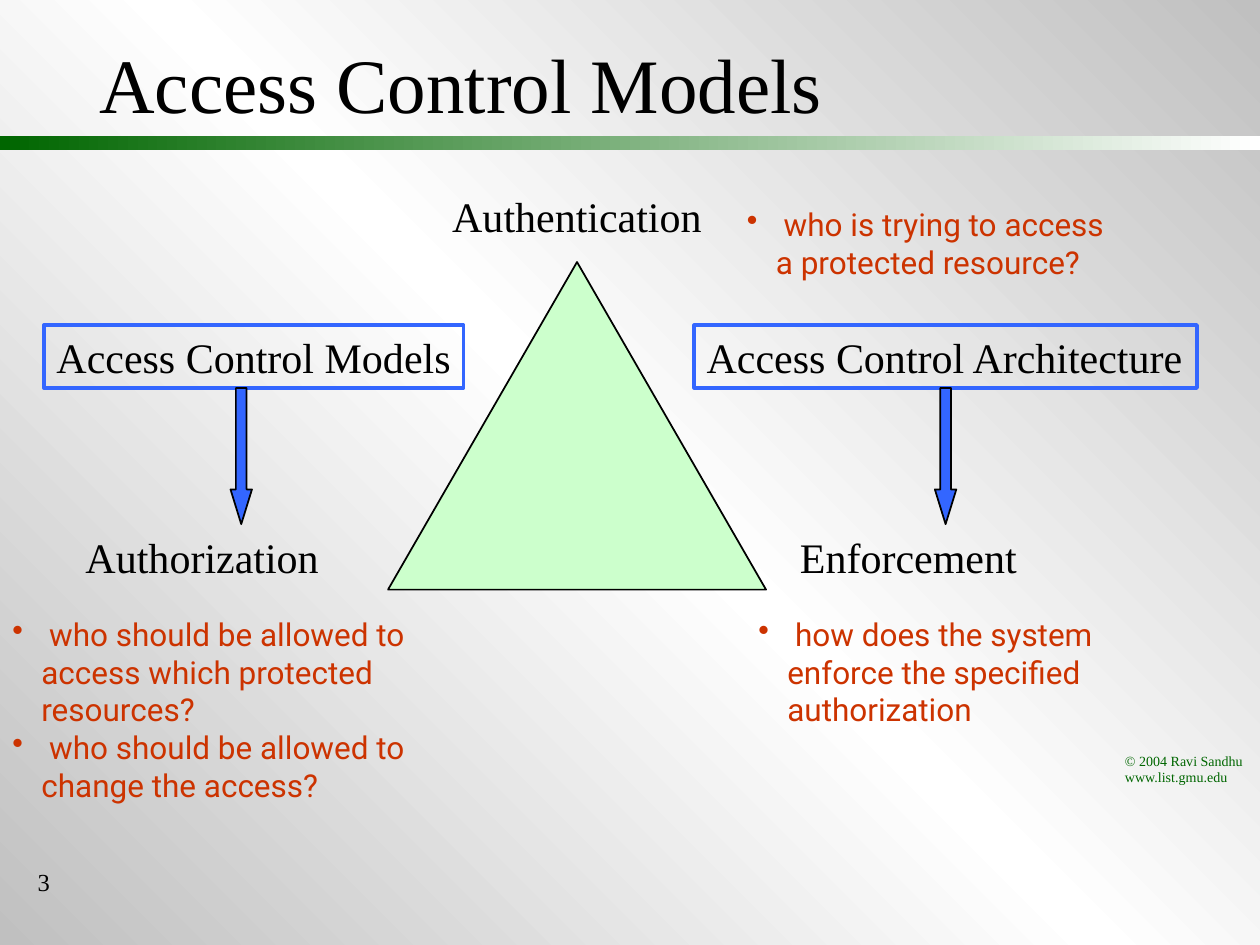
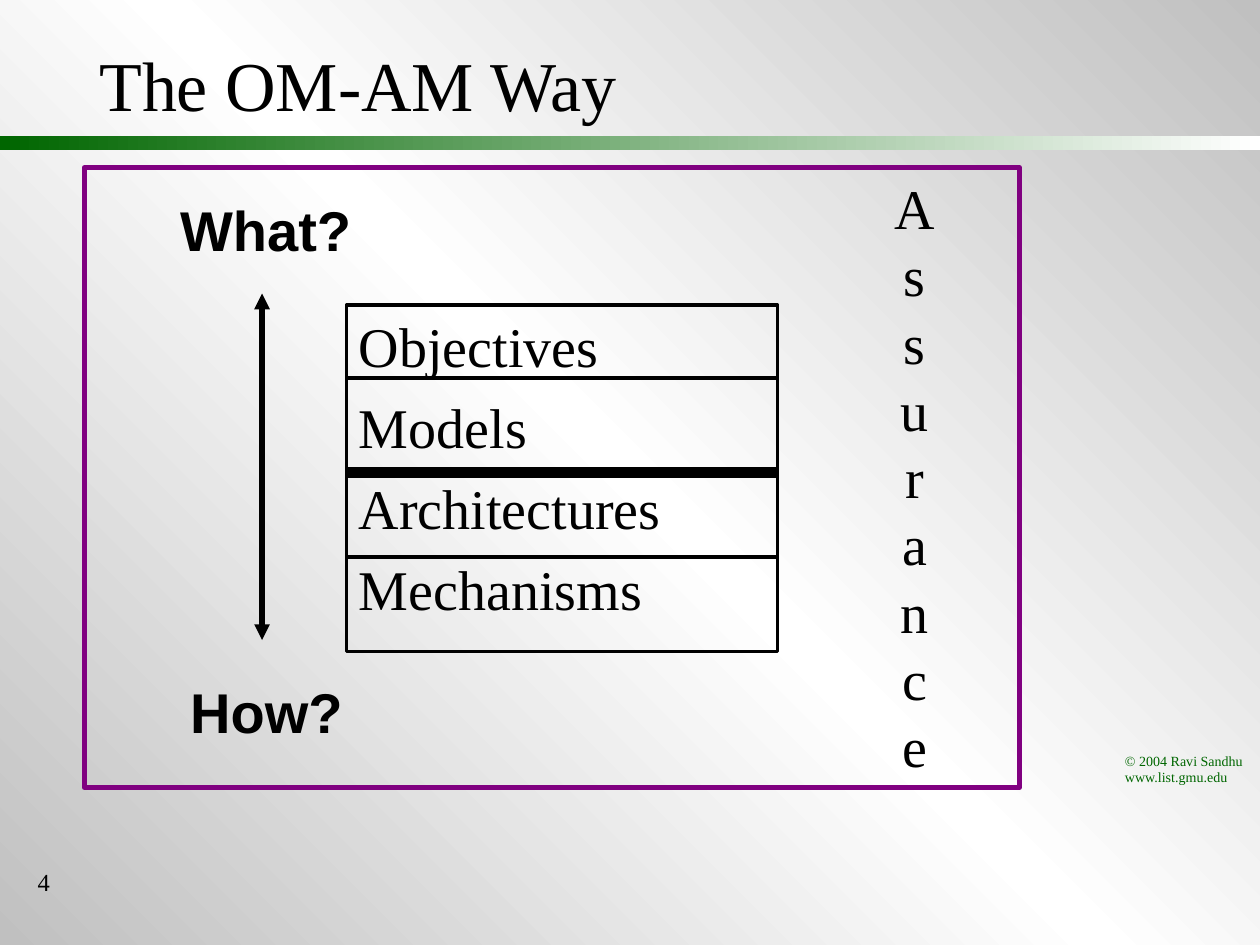
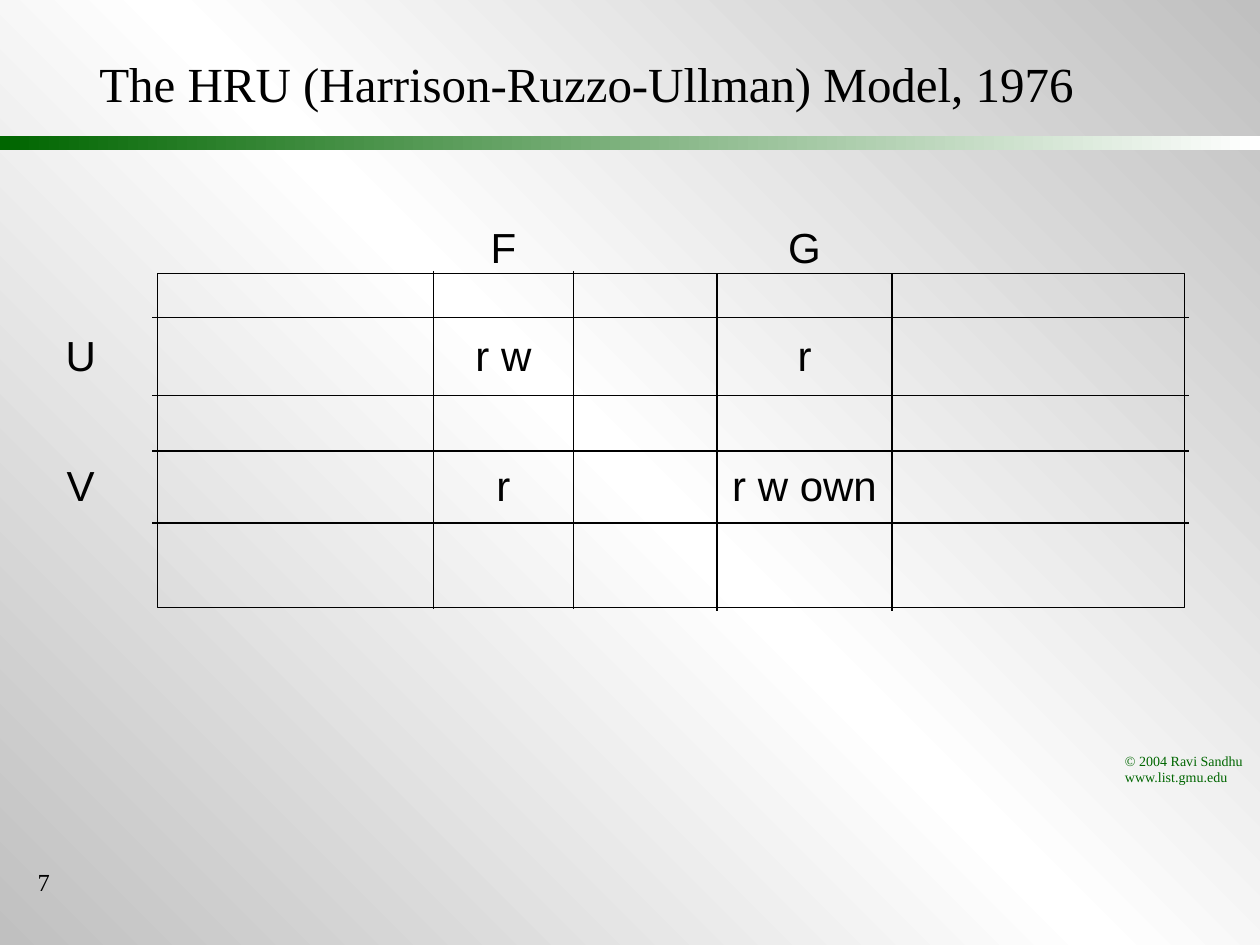
from lxml import etree
from pptx import Presentation
from pptx.dml.color import RGBColor
from pptx.enum.shapes import MSO_CONNECTOR, MSO_SHAPE
from pptx.enum.text import MSO_ANCHOR, MSO_AUTO_SIZE, PP_ALIGN
from pptx.oxml import parse_xml
from pptx.oxml.ns import nsdecls, qn
from pptx.util import Inches, Pt

# Shared look
WIDTH, HEIGHT = 10, 7.5
COLORS = {
    "black": "000000", "white": "FFFFFF", "silver": "C0C0C0", "green": "006600",
    "mint": "CCFFCC", "blue": "3366FF", "red": "CC3300", "purple": "800080",
}
SERIF, SANS, NOTE = "Times New Roman", "Arial", "Roboto"
FOOTER = ["© 2004 Ravi Sandhu", "www.list.gmu.edu"]

# Slide 1: corners of the triangle, questions and framed topics
CORNERS = [
    ("Authentication", (3.49, 1.46, 2.18, 0.5)),
    ("Authorization", (0.58, 4.17, 2.05, 0.5)),
    ("Enforcement", (6.25, 4.17, 1.92, 0.5)),
]
QUESTIONS = [
    ([" who is trying to access a protected resource?"], (5.83, 1.58, 3.18, 0.7)),
    ([" who should be allowed to access which protected resources?",
      " who should be allowed to change the access?"], (0, 4.83, 4.08, 1.6)),
    ([" how does the system enforce the specified authorization"],
     (5.92, 4.83, 3.75, 1)),
]
# Topic, left, width, left of its arrow
TOPICS = [
    ("Access Control Models", 0.35, 3.33, 1.83),
    ("Access Control Architecture", 5.51, 3.99, 7.42),
]
TOPIC_TOP, TOPIC_HEIGHT = 2.58, 0.5
ARROW_WIDTH, ARROW_HEIGHT = 0.17, 1.08

# Slide 2: layers between what and how
LAYERS = ["Objectives", "Models", "Architectures", "Mechanisms"]
STACK = (2.75, 2.42, 3.42, 2.75)
DIVIDERS = [(3, 2), (3.75, 6), (4.42, 2)]  # height on the slide, line width
ENDS = [("What?", (1.33, 1.5, 1.56, 0.64)), ("How?", (1.41, 5.33, 1.41, 0.64))]

# Slide 3: access matrix, with the edges of its columns and rows
COLUMN_EDGES = [1.25, 3.44, 4.55, 5.69, 7.08, 9.4]
ROW_EDGES = [2.17, 2.52, 3.14, 3.58, 4.15, 4.82]
COLUMN_LINE_TOPS = [2.15, 2.15, 2.17, 2.17]
COLUMN_LINE_LENGTH = 2.68
SUBJECTS = {"U": 1, "V": 3}
OBJECTS = {"F": 1, "G": 3}
RIGHTS = {("U", "F"): "r w", ("U", "G"): "r", ("V", "F"): "r", ("V", "G"): "r w own"}


def color(name):
    return RGBColor.from_string(COLORS[name])


def gradient(stops, angle):
    marks = "".join(
        f'<a:gs pos="{share * 1000}"><a:srgbClr val="{COLORS[name]}"/></a:gs>'
        for share, name in stops)
    return parse_xml(
        f'<a:gradFill {nsdecls("a")} rotWithShape="1"><a:gsLst>{marks}</a:gsLst>'
        f'<a:lin ang="{angle * 60000}" scaled="0"/></a:gradFill>')


def set_gradient(fill, parent, stops, angle):
    fill.gradient()
    blank_fill = parent.find(qn("a:gradFill"))
    parent.replace(blank_fill, gradient(stops, angle))


def add_bullet(para, ink):
    props = para._p.get_or_add_pPr()
    props.set("marL", str(Inches(0.23)))
    props.set("indent", str(-Inches(0.23)))
    bullet_color = etree.SubElement(props, qn("a:buClr"))
    etree.SubElement(bullet_color, qn("a:srgbClr")).set("val", COLORS[ink])
    etree.SubElement(props, qn("a:buChar")).set("char", "•")


def write(shape, text, size=24, font=SERIF, ink="black", bold=False, align=PP_ALIGN.LEFT,
          anchor=MSO_ANCHOR.TOP, wrap=False, bullet=False, gap=0, spacing=None,
          insets=(0.1, 0.05)):
    frame = shape.text_frame
    frame.word_wrap = wrap
    frame.auto_size = MSO_AUTO_SIZE.NONE if wrap else MSO_AUTO_SIZE.SHAPE_TO_FIT_TEXT
    frame.vertical_anchor = anchor
    frame.margin_left = frame.margin_right = Inches(insets[0])
    frame.margin_top = frame.margin_bottom = Inches(insets[1])
    for index, line in enumerate([text] if isinstance(text, str) else text):
        para = frame.add_paragraph() if index else frame.paragraphs[0]
        if bullet:
            add_bullet(para, ink)
        para.alignment = align
        if gap and index:
            para.space_before = Pt(gap)
        if spacing:
            para.line_spacing = spacing
        span = para.add_run()
        span.text = line
        span.font.size, span.font.name, span.font.bold = Pt(size), font, bold
        span.font.color.rgb = color(ink)


def add_text(page, text, place, **style):
    box = page.shapes.add_textbox(*map(Inches, place))
    write(box, text, **style)


def add_shape(page, kind, place, fill=None, line=None, weight=1):
    shape = page.shapes.add_shape(kind, *map(Inches, place))
    shape.shadow.inherit = False
    if fill:
        shape.fill.solid()
        shape.fill.fore_color.rgb = color(fill)
    else:
        shape.fill.background()
    if line:
        shape.line.color.rgb = color(line)
        shape.line.width = Pt(weight)
    else:
        shape.line.fill.background()
    return shape


def add_line(page, left, top, right, bottom, weight, arrows=False):
    ends = map(Inches, (left, top, right, bottom))
    line = page.shapes.add_connector(MSO_CONNECTOR.STRAIGHT, *ends)
    line.line.color.rgb = color("black")
    line.line.width = Pt(weight)
    if arrows:
        for end in ("a:headEnd", "a:tailEnd"):
            etree.SubElement(line.line._get_or_add_ln(), qn(end)).set("type", "triangle")
    etree.SubElement(line._element.spPr, qn("a:effectLst"))


def start_page(deck, title, size, number):
    page = deck.slides.add_slide(deck.slide_layouts[6])
    fill = page.background.fill
    set_gradient(fill, page._element.cSld.find(qn("p:bg")).find(qn("p:bgPr")),
                 [(0, "silver"), (50, "white"), (100, "silver")], 135)
    band = add_shape(page, MSO_SHAPE.RECTANGLE, (0, 1.08, WIDTH, 0.11))
    set_gradient(band.fill, band._element.spPr, [(0, "white"), (100, "green")], 180)
    add_text(page, FOOTER, (8.83, 5.92, 1.14, 0.37), size=8, ink="green")
    add_text(page, title, (0.69, 0.09, 8.92, 1.14), size=size, wrap=True,
             anchor=MSO_ANCHOR.MIDDLE)
    add_text(page, str(number), (0.2, 6.83, 0.51, 0.5), size=14, wrap=True)
    return page


def build_triangle(deck):
    page = start_page(deck, "Access Control Models", 44, 3)
    add_shape(page, MSO_SHAPE.ISOSCELES_TRIANGLE, (3.08, 2.08, 3, 2.6), "mint", "black")
    for name, place in CORNERS:
        add_text(page, name, place)
    for lines, place in QUESTIONS:
        add_text(page, lines, place, size=18, font=NOTE, ink="red", wrap=True, bullet=True)
    for topic, left, width, arrow_left in TOPICS:
        frame = add_shape(page, MSO_SHAPE.RECTANGLE,
                          (left, TOPIC_TOP, width, TOPIC_HEIGHT), line="blue", weight=2)
        write(frame, topic)
        arrow = add_shape(
            page, MSO_SHAPE.DOWN_ARROW,
            (arrow_left, TOPIC_TOP + TOPIC_HEIGHT, ARROW_WIDTH, ARROW_HEIGHT),
            "blue", "black")
        arrow.adjustments[1] = 1.62


def build_layers(deck):
    page = start_page(deck, "The OM-AM Way", 40, 4)
    left, top, width, height = STACK
    add_text(page, LAYERS, STACK, size=32, wrap=True, gap=8)
    add_shape(page, MSO_SHAPE.RECTANGLE, STACK, line="black", weight=2)
    for middle, weight in DIVIDERS:
        add_line(page, left, middle, left + width, middle, weight)
    # Axis from what to how
    add_line(page, 2.08, 2.33, 2.08, 5.08, 3, arrows=True)
    for word, place in ENDS:
        add_text(page, word, place, size=32, font=SANS, bold=True, align=PP_ALIGN.CENTER)
    # Assurance surrounds every layer
    add_shape(page, MSO_SHAPE.RECTANGLE, (0.67, 1.33, 7.42, 4.92), line="purple", weight=3)
    add_text(page, list("Assurance"), (7, 1.33, 0.52, 4.9), size=32, align=PP_ALIGN.CENTER)


def build_matrix(deck):
    page = start_page(deck, "The HRU (Harrison-Ruzzo-Ullman) Model, 1976", 28, 7)
    left, right = COLUMN_EDGES[0], COLUMN_EDGES[-1]
    top, bottom = ROW_EDGES[0], ROW_EDGES[-1]
    add_shape(page, MSO_SHAPE.RECTANGLE, (left, top, right - left, bottom - top),
              line="black", weight=0.75)
    for edge in ROW_EDGES[1:-1]:
        add_line(page, left - 0.04, edge, right + 0.04, edge, 0.75)
    for edge, start in zip(COLUMN_EDGES[1:-1], COLUMN_LINE_TOPS):
        add_line(page, edge, start, edge, start + COLUMN_LINE_LENGTH, 0.75)

    def label(text, column_left, column_width, middle):
        add_text(page, text, (column_left, middle - 0.19, column_width, 0.4), font=SANS,
                 align=PP_ALIGN.CENTER, wrap=True, spacing=0.87, insets=(0.07, 0.03))

    def column_span(name):
        start, end = COLUMN_EDGES[OBJECTS[name]:][:2]
        return start, end - start

    def row_middle(name):
        return sum(ROW_EDGES[SUBJECTS[name]:][:2]) / 2

    for name in OBJECTS:
        label(name, *column_span(name), top - 0.2)
    for name in SUBJECTS:
        label(name, 0.45, 0.38, row_middle(name))
    for (subject, target), rights in RIGHTS.items():
        label(rights, *column_span(target), row_middle(subject))


def main():
    deck = Presentation()
    deck.slide_width, deck.slide_height = Inches(WIDTH), Inches(HEIGHT)
    for build in (build_triangle, build_layers, build_matrix):
        build(deck)
    deck.save("out.pptx")


if __name__ == "__main__":
    main()
